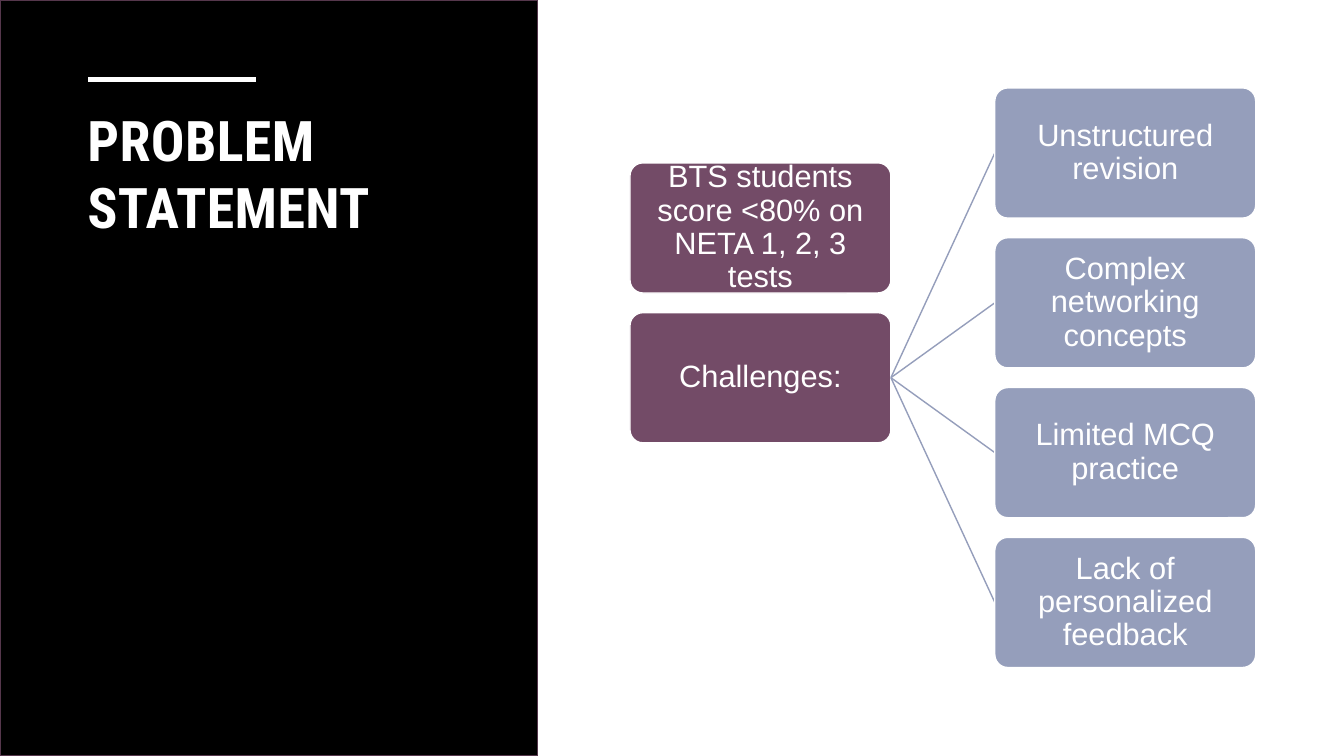
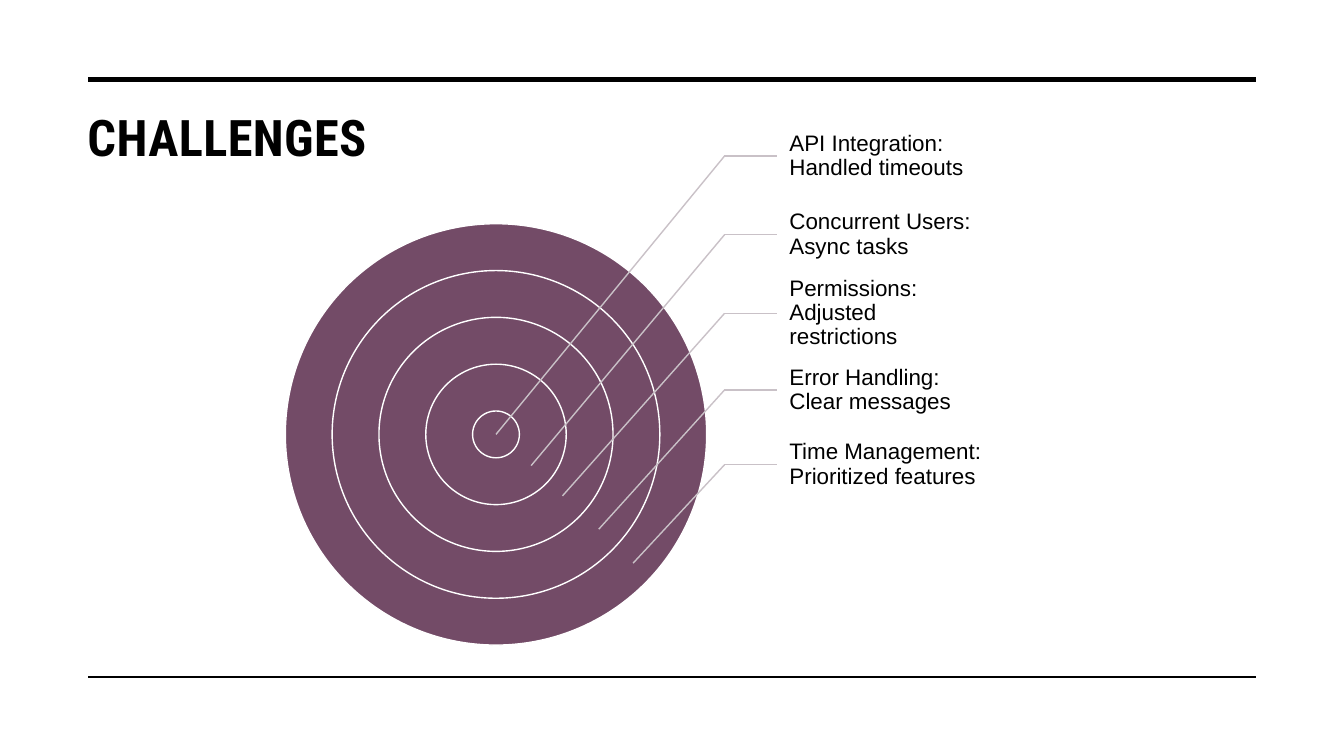
"""Build two slides: a problem statement tree and a target diagram of challenges."""
from lxml import etree
from pptx import Presentation
from pptx.dml.color import RGBColor
from pptx.enum import shapes, text
from pptx.oxml import ns
from pptx.util import Pt

COLOURS = {
    "black": "000000",
    "white": "FFFFFF",
    "plum": "734B67",
    "dark plum": "55374C",
    "slate": "959EBB",
    "leader": "C9C1C7",
}
RGB = {name: RGBColor.from_string(value) for name, value in COLOURS.items()}
TITLE_FONT, BODY_FONT = "Roboto Condensed", "Arial"
MARGIN_LEFT, MARGIN_RIGHT, RULE_TOP = 63, 897, 57
TITLE_LEFT, TITLE_TOP = 55.4, 72


def write(shape, words, size, colour, insets, align=text.PP_ALIGN.LEFT, is_title=False):
    frame = shape.text_frame
    frame.text = words
    frame.word_wrap = True
    frame.vertical_anchor = text.MSO_ANCHOR.TOP if is_title else text.MSO_ANCHOR.MIDDLE
    frame.margin_left, frame.margin_top, frame.margin_right, frame.margin_bottom = map(Pt, insets)
    paragraph = frame.paragraphs[0]
    paragraph.alignment = align
    paragraph.line_spacing = 1.0 if is_title else 0.9
    font = paragraph.runs[0].font
    font.name = TITLE_FONT if is_title else BODY_FONT
    font.size = Pt(size)
    font.bold = is_title
    font.color.rgb = RGB[colour]
    if is_title:
        paragraph.runs[0]._r.get_or_add_rPr().set("spc", "30")


def draw_line(slide, start, end, colour, weight=1):
    line = slide.shapes.add_connector(
        shapes.MSO_CONNECTOR.STRAIGHT, *map(Pt, (*start, *end)))
    line.line.color.rgb = RGB[colour]
    line.line.width = Pt(weight)
    etree.SubElement(line._element.spPr, ns.qn("a:effectLst"))


prs = Presentation()
prs.slide_width, prs.slide_height = Pt(960), Pt(540)
blank = prs.slide_layouts[6]
problem = prs.slides.add_slide(blank)
challenges = prs.slides.add_slide(blank)

panel = problem.shapes.add_shape(
    shapes.MSO_SHAPE.RECTANGLE, 0, 0, Pt(384), prs.slide_height)
panel.shadow.inherit = False
panel.fill.solid()
panel.fill.fore_color.rgb = RGB["black"]
panel.line.color.rgb = RGB["dark plum"]
panel.line.width = Pt(1)

draw_line(problem, (MARGIN_LEFT, RULE_TOP), (183, RULE_TOP), "white", 3.5)
draw_line(challenges, (MARGIN_LEFT, RULE_TOP), (MARGIN_RIGHT, RULE_TOP), "black", 3.5)
draw_line(challenges, (MARGIN_LEFT, 483.6), (MARGIN_RIGHT, 483.6), "black")

for slide, heading, width, height, size, colour in (
    (problem, "PROBLEM STATEMENT", 293, 289, 40, "white"),
    (challenges, "CHALLENGES", 841.6, 103, 36, "black"),
):
    title = slide.shapes.add_textbox(*map(Pt, (TITLE_LEFT, TITLE_TOP, width, height)))
    write(title, heading, size, colour, (7.2, 3.6, 7.2, 3.6), is_title=True)

CARD_WIDTH, CARD_HEIGHT, CARD_PITCH = 186.4, 93, 107
CAUSE_LEFT, EFFECT_LEFT = 450, 710.6
CAUSE_TOP, EFFECT_TOP = 116.3, 62.8
columns = (
    (CAUSE_LEFT, CAUSE_TOP, "plum",
     ("BTS students score <80% on NETA 1, 2, 3 tests", "Challenges:")),
    (EFFECT_LEFT, EFFECT_TOP, "slate",
     ("Unstructured revision", "Complex networking concepts",
      "Limited MCQ practice", "Lack of personalized feedback")),
)
hub = (CAUSE_LEFT + CARD_WIDTH, CAUSE_TOP + CARD_PITCH + CARD_HEIGHT / 2)
for left, first_top, colour, entries in columns:
    for row, entry in enumerate(entries):
        top = first_top + row * CARD_PITCH
        if left == EFFECT_LEFT:
            draw_line(problem, hub, (left, top + CARD_HEIGHT / 2), "slate")
        card = problem.shapes.add_shape(
            shapes.MSO_SHAPE.ROUNDED_RECTANGLE,
            *map(Pt, (left, top, CARD_WIDTH, CARD_HEIGHT)))
        card.adjustments[0] = 0.1
        card.shadow.inherit = False
        card.fill.solid()
        card.fill.fore_color.rgb = RGB[colour]
        card.line.color.rgb = RGB["white"]
        card.line.width = Pt(1)
        write(card, entry, 22, "white", (4.2,) * 4, text.PP_ALIGN.CENTER)

CENTRE_X, CENTRE_Y, CORE = 354.3, 310.3, 33.44
for multiple in (9, 7, 5, 3, 1):
    diameter = CORE * multiple
    ring = challenges.shapes.add_shape(
        shapes.MSO_SHAPE.OVAL,
        *map(Pt, (CENTRE_X - diameter / 2, CENTRE_Y - diameter / 2, diameter, diameter)))
    ring.shadow.inherit = False
    ring.fill.solid()
    ring.fill.fore_color.rgb = RGB["plum"]
    ring.line.color.rgb = RGB["white"]
    ring.line.width = Pt(1)

ELBOW_X, LABEL_LEFT, LABEL_WIDTH, LABEL_HEIGHT = 517.5, 555, 150.5, 53.3
for topic, label_y, target in (
    ("API Integration: Handled timeouts", 111.5, (CENTRE_X, CENTRE_Y)),
    ("Concurrent Users: Async tasks", 167.7, (379.4, 332.6)),
    ("Permissions: Adjusted restrictions", 223.9, (401.8, 354.2)),
    ("Error Handling: Clear messages", 278.6, (427.7, 378)),
    ("Time Management: Prioritized features", 332, (452.2, 402.3)),
):
    label = challenges.shapes.add_textbox(
        *map(Pt, (LABEL_LEFT, label_y - LABEL_HEIGHT / 2, LABEL_WIDTH, LABEL_HEIGHT)))
    write(label, topic, 16, "black", (8.9, 1.4, 1.4, 1.4))
    elbow = (ELBOW_X, label_y)
    draw_line(challenges, elbow, (LABEL_LEFT, label_y), "leader")
    draw_line(challenges, elbow, target, "leader")

prs.save("out.pptx")
